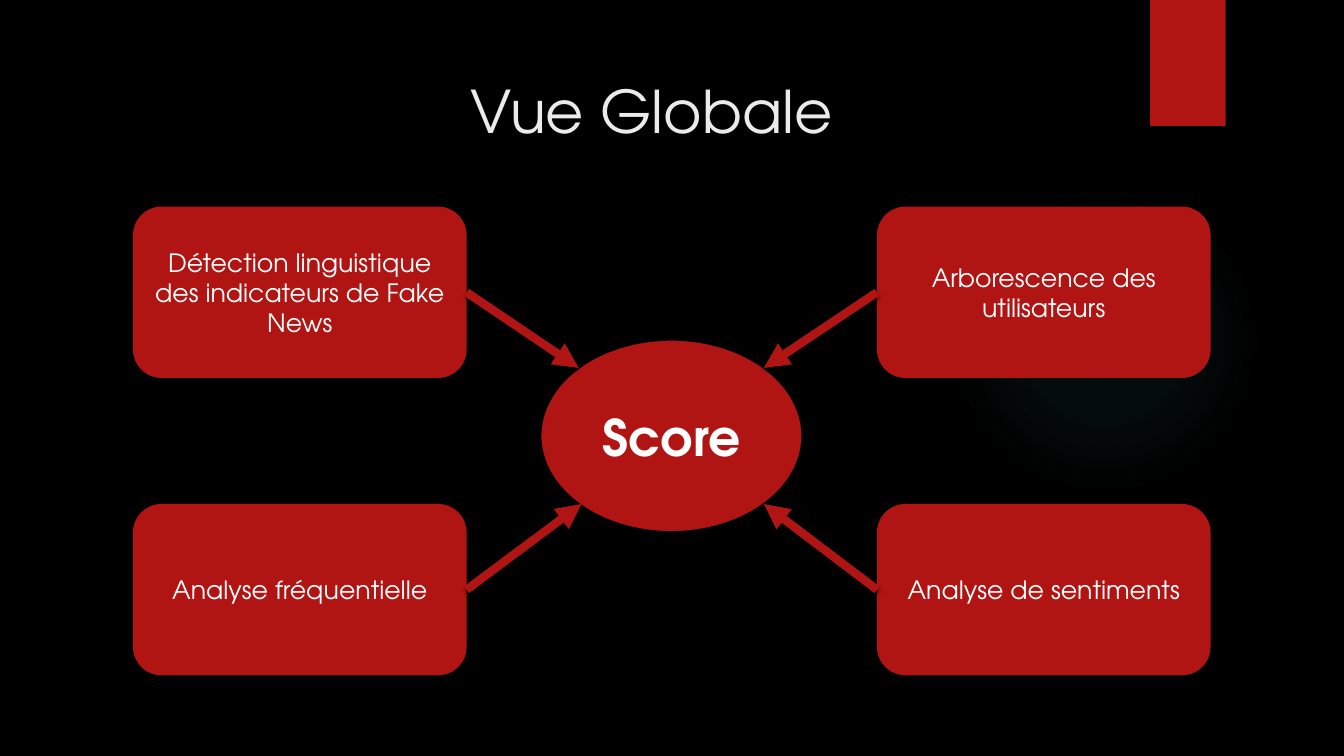
"""Build the "Vue Globale" slide: four analyses feeding one score."""
from dataclasses import dataclass

from pptx import Presentation, oxml
from pptx.dml.color import RGBColor
from pptx.enum import shapes, text
from pptx.oxml import ns
from pptx.util import Pt

FONT = "TeX Gyre Adventor"
BLACK = RGBColor(0x00, 0x00, 0x00)
RED = RGBColor(0xB0, 0x15, 0x13)
WHITE = RGBColor(0xFF, 0xFF, 0xFF)
PALE = RGBColor(0xEB, 0xEB, 0xEB)
TEAL = RGBColor(0x50, 0xB9, 0xC1)

BOX_W, BOX_H = 238.3, 122.4
LEFT, RIGHT = 95, 626.4
TOP, BOTTOM = 147.6, 360


@dataclass(frozen=True)
class Analysis:
    label: str
    x: float
    y: float
    tip_x: float
    tip_y: float


ANALYSES = (
    Analysis("Détection linguistique des indicateurs de Fake News", LEFT, TOP, 413.3, 262.8),
    Analysis("Arborescence des utilisateurs", RIGHT, TOP, 545.7, 262.8),
    Analysis("Analyse de sentiments", RIGHT, BOTTOM, 545.7, 360),
    Analysis("Analyse fréquentielle", LEFT, BOTTOM, 415.4, 360),
)


def write(tf, label: str, size: float, color: RGBColor, bold: bool = False) -> None:
    tf.word_wrap = True
    p = tf.paragraphs[0]
    p.alignment = text.PP_ALIGN.CENTER
    r = p.add_run()
    r.text = label
    r.font.name = FONT
    r.font.size = Pt(size)
    r.font.bold = bold
    r.font.color.rgb = color


def add_block(s, kind, x: float, y: float, w: float, h: float):
    sp = s.shapes.add_shape(kind, Pt(x), Pt(y), Pt(w), Pt(h))
    sp.shadow.inherit = False
    sp.fill.solid()
    sp.fill.fore_color.rgb = RED
    sp.line.fill.background()
    sp.text_frame.vertical_anchor = text.MSO_ANCHOR.MIDDLE
    return sp


def add_shadow(sp) -> None:
    sp_pr = sp._element.spPr
    for old in sp_pr.findall(ns.qn("a:effectLst")):
        sp_pr.remove(old)
    sp_pr.append(oxml.parse_xml(
        f'<a:effectLst {ns.nsdecls("a")}>'
        f'<a:outerShdw blurRad="{Pt(3)}" dist="{Pt(2)}" dir="5400000" rotWithShape="0">'
        f'<a:srgbClr val="{BLACK}"><a:alpha val="45000"/></a:srgbClr>'
        '</a:outerShdw></a:effectLst>'))


def add_glow(s) -> None:
    sp = add_block(s, shapes.MSO_SHAPE.OVAL, 677.5, 131.8, 221.8, 221.8)
    stops = "".join(
        f'<a:gs pos="{pos}000"><a:srgbClr val="{TEAL}"><a:alpha val="{alpha}000"/></a:srgbClr></a:gs>'
        for pos, alpha in ((0, 7), (36, 6), (69, 0)))
    sp_pr = sp._element.spPr
    solid = sp_pr.find(ns.qn("a:solidFill"))
    sp_pr.replace(solid, oxml.parse_xml(
        f'<a:gradFill {ns.nsdecls("a")} rotWithShape="1"><a:gsLst>{stops}</a:gsLst>'
        '<a:path path="circle"><a:fillToRect l="50000" t="50000" r="50000" b="50000"/></a:path>'
        '</a:gradFill>'))


def add_arrow(s, item: Analysis) -> None:
    start_x = item.x + BOX_W if item.x == LEFT else item.x
    cxn = s.shapes.add_connector(
        shapes.MSO_CONNECTOR.STRAIGHT, Pt(start_x), Pt(item.y + BOX_H / 2),
        Pt(item.tip_x), Pt(item.tip_y))
    cxn.line.color.rgb = RED
    cxn.line.width = Pt(6)
    cxn.line._get_or_add_ln().append(
        oxml.parse_xml(f'<a:tailEnd {ns.nsdecls("a")} type="triangle"/>'))
    add_shadow(cxn)


def main() -> None:
    prs = Presentation()
    prs.slide_width, prs.slide_height = Pt(960), Pt(540)
    s = prs.slides.add_slide(prs.slide_layouts[5])
    s.background.fill.solid()
    s.background.fill.fore_color.rgb = BLACK

    title = s.shapes.title
    title.left, title.top, title.width, title.height = Pt(95), Pt(49.7), Pt(740.9), Pt(110.2)
    title.text_frame.vertical_anchor = text.MSO_ANCHOR.TOP
    write(title.text_frame, "Vue Globale", 42, PALE)

    add_glow(s)
    add_shadow(add_block(s, shapes.MSO_SHAPE.RECTANGLE, 821.5, 0, 54, 90))
    for item in ANALYSES:
        box = add_block(s, shapes.MSO_SHAPE.ROUNDED_RECTANGLE, item.x, item.y, BOX_W, BOX_H)
        write(box.text_frame, item.label, 18, WHITE)

    score = add_block(s, shapes.MSO_SHAPE.OVAL, 386, 242.6, 187.2, 137.5)
    score.line.color.rgb = BLACK
    score.line.width = Pt(1.5)
    write(score.text_frame, "Score", 36, WHITE, bold=True)
    for item in ANALYSES:
        add_arrow(s, item)

    prs.save("out.pptx")


if __name__ == "__main__":
    main()
